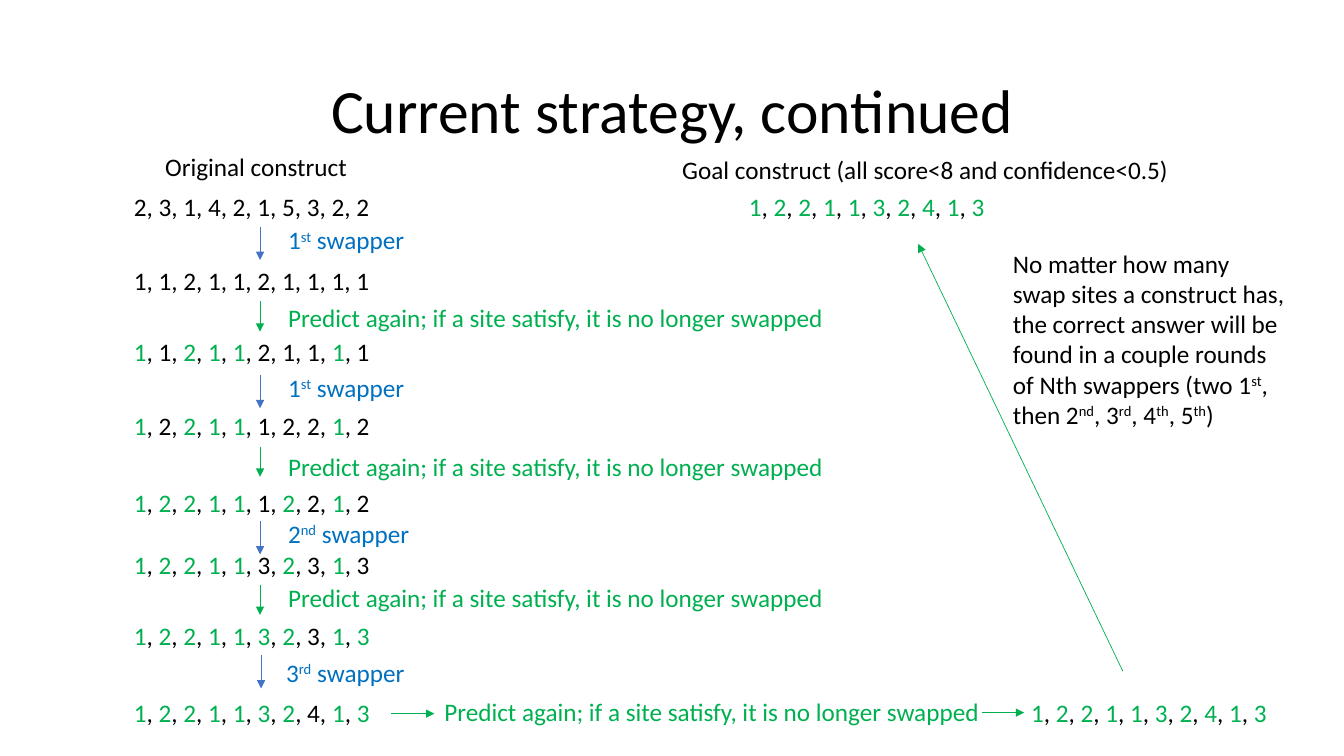
from lxml.etree import SubElement
from pptx import Presentation
from pptx.dml.color import RGBColor
from pptx.enum.shapes import MSO_CONNECTOR
from pptx.enum.text import MSO_ANCHOR, PP_ALIGN
from pptx.oxml.ns import qn
from pptx.util import Inches, Pt

COLORS = {"ink": "000000", "keep": "00B050", "swap": "0070C0", "arrow": "4472C4"}
COLS, ROWS = 40, 22.5
CELL = Inches(1) / 3

GOAL = "1221132413"
PREDICT = "Predict again; if a site satisfy, it is no longer swapped"
NOTE = (
    "No matter how many swap sites a construct has, the correct answer will be "
    "found in a couple rounds of Nth swappers (two 1^st^, then 2^nd^, 3^rd^, 4^th^, 5^th^)"
)

# Step label, label column and row, arrow column and row, then the construct and its row
STEPS = [
    ("1^st^ swapper", 8.28, 6.54, 7.74, 6.75, "1121121111", 7.74),
    (PREDICT, 8.28, 8.85, 7.74, 8.97, "1121121111", 9.87),
    ("1^st^ swapper", 8.28, 10.92, 7.74, 11.16, "1221112212", 12.06),
    (PREDICT, 8.28, 13.29, 7.74, 13.29, "1221112212", 14.37),
    ("2^nd^ swapper", 8.28, 15.27, 7.74, 15.51, "1221132313", 16.2),
    (PREDICT, 8.28, 17.19, 7.74, 17.4, "1221132313", 18.3),
    ("3^rd^ swapper", 8.22, 19.41, 7.77, 19.5, "1221132413", 20.61),
]


def grid(*cells):
    return [round(cell * CELL) for cell in cells]


class Board:
    font = "Calibri"
    size = 18
    line = 0.5

    def __init__(self, deck):
        self.slide = deck.slides.add_slide(deck.slide_layouts[6])

    def frame(self, left, top, width, height=1.2):
        box = self.slide.shapes.add_textbox(*grid(left, top, width, height))
        box.text_frame.word_wrap = True
        return box.text_frame

    def style(self, run, color, size=None):
        run.font.name = self.font
        run.font.size = Pt(size or self.size)
        run.font.color.rgb = RGBColor.from_string(COLORS[color])

    def title(self, text, left, top, width, height):
        frame = self.frame(left, top, width, height)
        frame.text = text
        frame.vertical_anchor = MSO_ANCHOR.MIDDLE
        para = frame.paragraphs[0]
        para.alignment = PP_ALIGN.CENTER
        para.line_spacing = 0.9
        self.style(para.runs[0], "ink", 44)

    def label(self, text, left, top, width, height=1.2, color="ink"):
        """Write text in which ^marks^ enclose superscripts."""
        para = self.frame(left, top, width, height).paragraphs[0]
        for index, part in enumerate(text.split("^")):
            run = para.add_run()
            run.text = part
            self.style(run, color)
            if index % 2:
                run.font._element.set("baseline", "30000")

    def series(self, digits, left, top, kept=()):
        """Write digits with commas, the kept positions in green."""
        para = self.frame(left, top, 20).paragraphs[0]
        para.level = 1
        props = para._p.get_or_add_pPr()
        props.set("marL", str(Inches(0.5)))
        props.set("indent", "0")
        parts = []
        for index, digit in enumerate(digits):
            if index:
                parts.append((", ", "ink"))
            parts.append((digit, "keep" if index in kept else "ink"))
        for text, color in parts:
            run = para.add_run()
            run.text = text
            self.style(run, color)

    def arrow(self, start, end, color="keep"):
        link = self.slide.shapes.add_connector(
            MSO_CONNECTOR.STRAIGHT, *grid(*start, *end))
        link.line.color.rgb = RGBColor.from_string(COLORS[color])
        link.line.width = Pt(self.line)
        SubElement(link.line._get_or_add_ln(), qn("a:tailEnd"), type="triangle")
        SubElement(link._element.spPr, qn("a:effectLst"))


def matches(digits):
    return {i for i, pair in enumerate(zip(digits, GOAL)) if pair[0] == pair[1]}


def main():
    deck = Presentation()
    deck.slide_width, deck.slide_height = grid(COLS, ROWS)
    board = Board(deck)

    board.title("Current strategy, continued", 2.76, 1.2, 34.5, 4.35)
    board.label("Original construct", 4.62, 4.35, 13.5)
    board.label("Goal construct (all score<8 and confidence<0.5)", 20.01, 4.44, 16.38)
    board.series("2314215322", 2.19, 5.55)
    board.series(GOAL, 20.49, 5.55, matches(GOAL))

    kept = set()
    for text, left, top, col, row, digits, base in STEPS:
        again = text == PREDICT
        if again:
            kept = matches(digits)
        board.arrow((col, row), (col, row + (0.9 if again else 0.99)),
                    "keep" if again else "arrow")
        board.label(text, left, top, 17.76 if again else 13.5,
                    color="keep" if again else "swap")
        board.series(digits, 2.19, base, kept)

    board.arrow((11.64, 21.24), (12.93, 21.24))
    board.label(PREDICT, 12.93, 20.58, 17.76, color="keep")
    board.arrow((29.22, 21.21), (30.48, 21.21))
    board.series(GOAL, 28.89, 20.61, matches(GOAL))
    board.arrow((33.42, 19.98), (27.33, 7.26))
    board.label(NOTE, 29.85, 7.23, 8.73, 5.76)

    deck.save("out.pptx")


if __name__ == "__main__":
    main()
